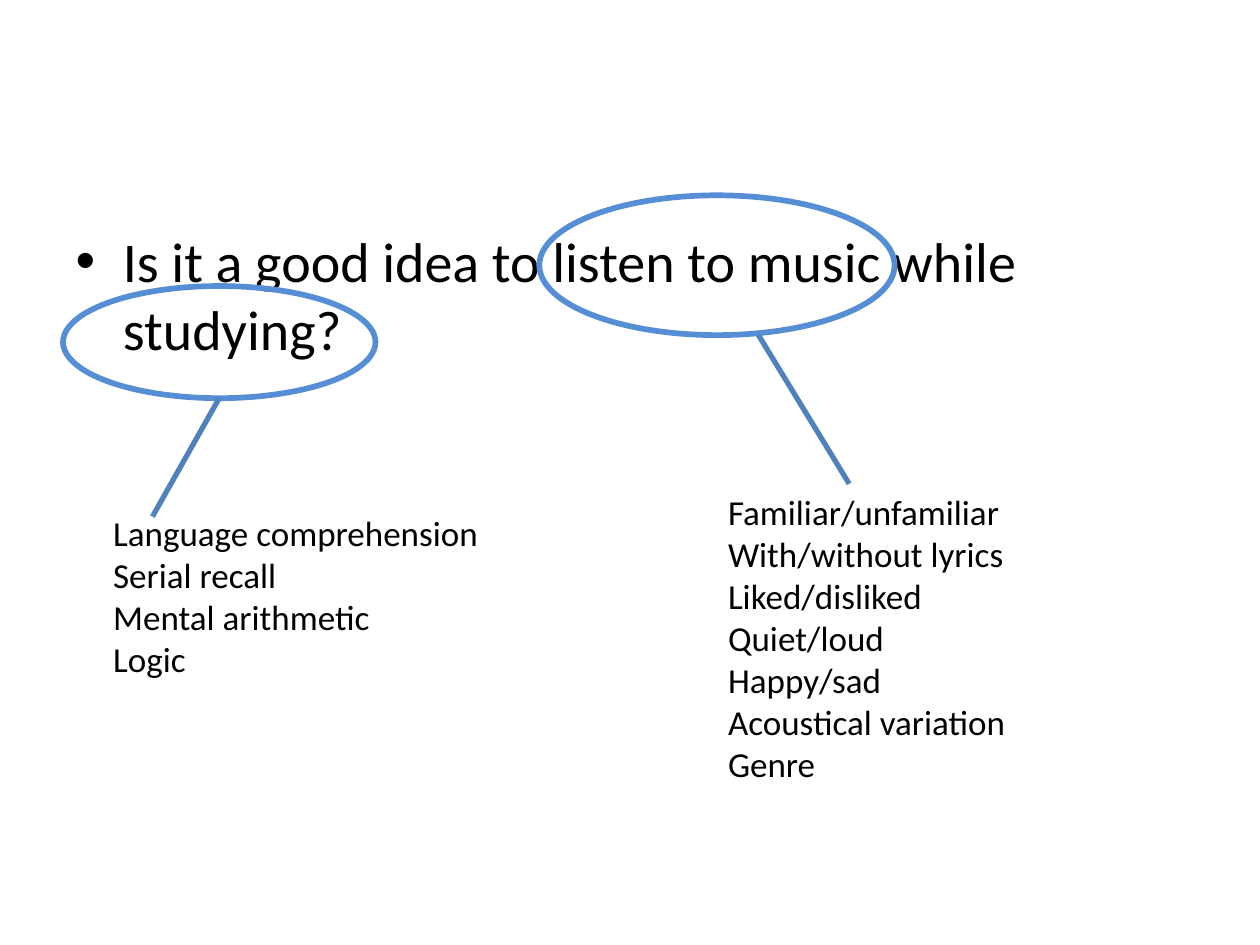
from dataclasses import dataclass

from lxml import etree
from pptx import Presentation
from pptx.dml.color import RGBColor
from pptx.enum.shapes import MSO_CONNECTOR, MSO_SHAPE
from pptx.enum.text import MSO_AUTO_SIZE
from pptx.oxml.ns import qn
from pptx.util import Inches, Pt

OVAL = MSO_SHAPE.OVAL
STRAIGHT = MSO_CONNECTOR.STRAIGHT
FIT_SHAPE = MSO_AUTO_SIZE.SHAPE_TO_FIT_TEXT
BLACK = RGBColor(0x00, 0x00, 0x00)
RING_BLUE = RGBColor(0x55, 0x8E, 0xD5)
LINK_BLUE = RGBColor(0x4F, 0x81, 0xBD)
FONT = "Calibri"


@dataclass
class Callout:
    ring: tuple[float, float, float, float]
    link: tuple[float, float, float, float]
    notes: tuple[float, float, float, float]
    lines: list[str]


CALLOUTS = [
    Callout((4.28, 1.55, 2.82, 1.11), (6.02, 2.66, 6.74, 3.84),
            (5.68, 3.84, 2.43, 2.46),
            ["Familiar/unfamiliar", "With/without lyrics", "Liked/disliked",
             "Quiet/loud", "Happy/sad", "Acoustical variation", "Genre"]),
    Callout((0.5, 2.27, 2.48, 0.89), (1.74, 3.16, 1.21, 4.1),
            (0.8, 4.01, 3.13, 1.45),
            ["Language comprehension", "Serial recall", "Mental arithmetic",
             "Logic"]),
]


def style(p, size: float) -> None:
    p.font.name = FONT
    p.font.size = Pt(size)
    p.font.color.rgb = BLACK


def add_question(s, text: str) -> None:
    body = s.placeholders[1]
    body.left, body.top = Inches(0.5), Inches(1.75)
    body.width, body.height = Inches(9), Inches(1.64)
    p = body.text_frame.paragraphs[0]
    p.text = text
    style(p, 32)


def add_ring(s, callout: Callout) -> None:
    sp = s.shapes.add_shape(OVAL, *map(Inches, callout.ring))
    sp.shadow.inherit = False
    sp.fill.background()
    sp.line.color.rgb = RING_BLUE
    sp.line.width = Pt(3.25)


def add_notes(s, callout: Callout) -> None:
    tf = s.shapes.add_textbox(*map(Inches, callout.notes)).text_frame
    tf.word_wrap = False
    tf.auto_size = FIT_SHAPE
    tf.text = "\n".join(callout.lines)
    for p in tf.paragraphs:
        style(p, 20)


def add_link(s, callout: Callout) -> None:
    link = s.shapes.add_connector(STRAIGHT, *map(Inches, callout.link))
    link.line.color.rgb = LINK_BLUE
    link.line.width = Pt(3)
    etree.SubElement(link._element.spPr, qn("a:effectLst"))


prs = Presentation()
prs.slide_width, prs.slide_height = Inches(10), Inches(7.5)
s = prs.slides.add_slide(prs.slide_layouts[1])
title = s.shapes.title._element
title.getparent().remove(title)
add_question(s, "Is it a good idea to listen to music while studying?")
for draw in (add_ring, add_notes, add_link):
    for callout in CALLOUTS:
        draw(s, callout)
prs.save("out.pptx")
